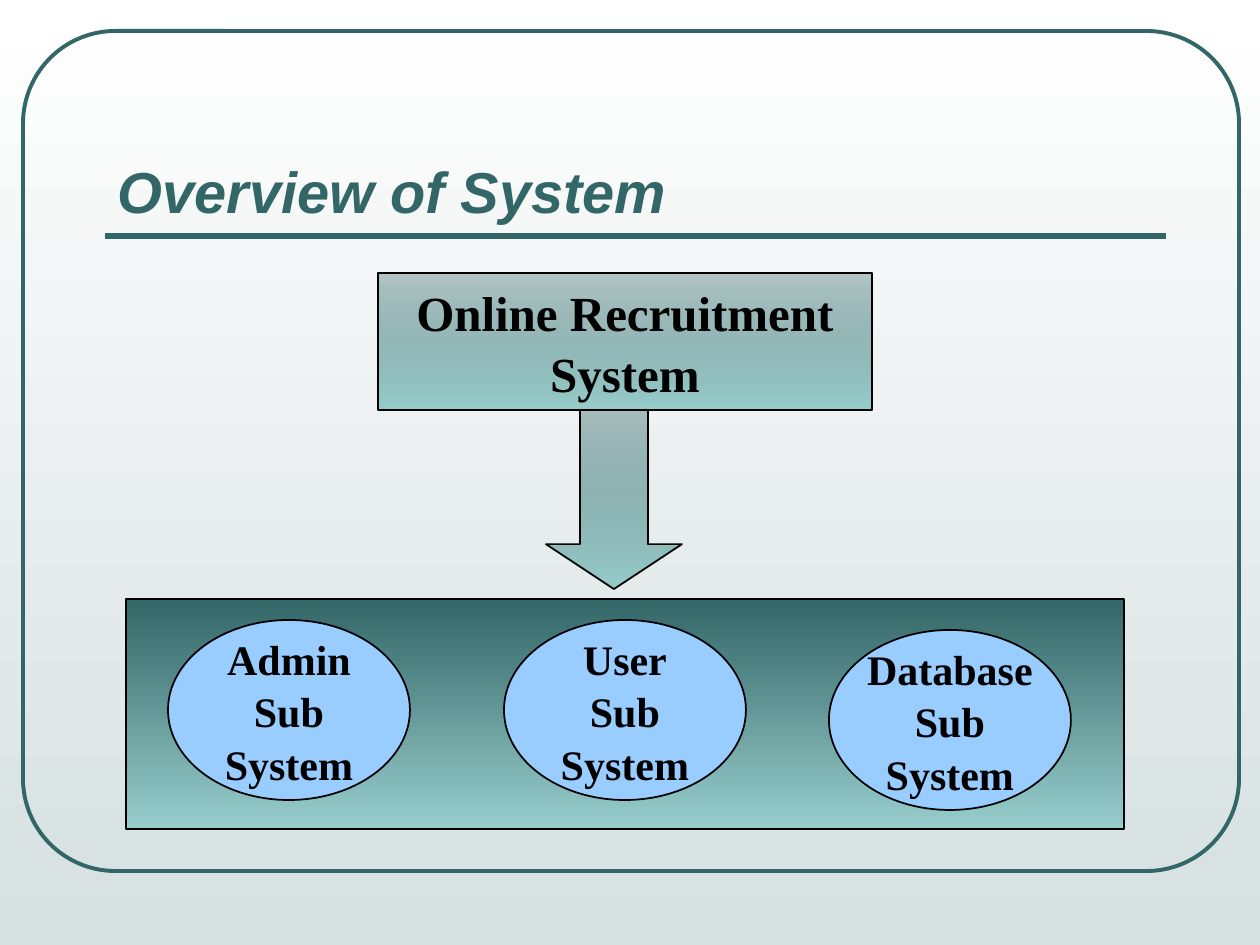
from lxml.etree import SubElement
from pptx import Presentation
from pptx.dml.color import RGBColor
from pptx.enum.shapes import MSO_CONNECTOR as Link, MSO_SHAPE as Kind
from pptx.enum.text import MSO_ANCHOR as Anchor, PP_ALIGN as Align
from pptx.oxml.ns import qn
from pptx.util import Pt

PX = 914400 // 126
TEAL = RGBColor(0x33, 0x66, 0x66)
AQUA = RGBColor(0x97, 0xCD, 0xCC)
SKY = RGBColor(0x99, 0xCC, 0xFF)
MIST = RGBColor(0xD6, 0xE0, 0xE0)
WHITE = RGBColor(0xFF, 0xFF, 0xFF)
BLACK = RGBColor(0, 0, 0)


def shade(fill, top, end, alpha=100):
    """Fill from top to bottom; alpha is the opacity of the top colour in percent."""
    fill.gradient()
    fill.gradient_angle = 270
    for stop, color, place in zip(fill.gradient_stops, (top, end), (0, 1)):
        stop.color.rgb = color
        stop.position = place
    if alpha < 100:
        color = fill._fill._gradFill.find(".//" + qn("a:srgbClr"))
        SubElement(color, qn("a:alpha")).set("val", str(alpha * 1000))


def add(kind, box, text="", size=24):
    """Add a black-edged shape with centred bold text; box is in px."""
    shape = slide.shapes.add_shape(kind, *(n * PX for n in box))
    shape.shadow.inherit = False
    shape.line.color.rgb = BLACK
    shape.line.width = Pt(1)
    frame = shape.text_frame
    frame.word_wrap = False
    frame.vertical_anchor = Anchor.MIDDLE
    if text:
        frame.text = text
        for para in frame.paragraphs:
            para.alignment = Align.CENTER
            para.line_spacing = 1.04
            font = para.font
            font.name, font.size, font.bold = "Times New Roman", Pt(size), True
            font.color.rgb = BLACK
    return shape


deck = Presentation()
deck.slide_width, deck.slide_height = 1260 * PX, 945 * PX
slide = deck.slides.add_slide(deck.slide_layouts[5])
shade(slide.background.fill, WHITE, MIST)

# Frame, title and rule
edge = add(Kind.ROUNDED_RECTANGLE, (23, 31, 1216, 840))
edge.adjustments[0] = 0.11
edge.fill.background()
edge.line.color.rgb = TEAL
edge.line.width = Pt(2.25)

rule = slide.shapes.add_connector(
    Link.STRAIGHT, 105 * PX, 236 * PX, 1166 * PX, 236 * PX)
rule.line.color.rgb = TEAL
rule.line.width = Pt(3)
SubElement(rule._element.spPr, qn("a:effectLst"))

title = slide.shapes.title
title.left, title.top, title.width, title.height = (
    n * PX for n in (105, 73, 1061, 158))
title.text_frame.text = "Overview of System"
title.text_frame.vertical_anchor = Anchor.BOTTOM
para = title.text_frame.paragraphs[0]
para.alignment = Align.LEFT
font = para.runs[0].font
font.name, font.size = "Arial", Pt(33)
font.bold = font.italic = True
font.color.rgb = TEAL

# Panel with the subsystems
panel = add(Kind.RECTANGLE, (126, 599, 998, 230))
shade(panel.fill, TEAL, AQUA)

for name, left, top in (("Admin", 168, 620), ("User", 504, 620),
                        ("Database", 829, 630)):
    oval = add(Kind.OVAL, (left, top, 242, 180), f"{name}\nSub\nSystem")
    oval.fill.solid()
    oval.fill.fore_color.rgb = SKY

# Whole system above, pointing down to the panel
arrow = add(Kind.DOWN_ARROW, (546, 409, 136, 180))
arrow.adjustments[0] = 0.5
arrow.adjustments[1] = 0.33
shade(arrow.fill, TEAL, AQUA, 37)

whole = add(Kind.RECTANGLE, (378, 273, 494, 137),
            "Online Recruitment\nSystem", 28)
shade(whole.fill, TEAL, AQUA, 33)

deck.save("out.pptx")
